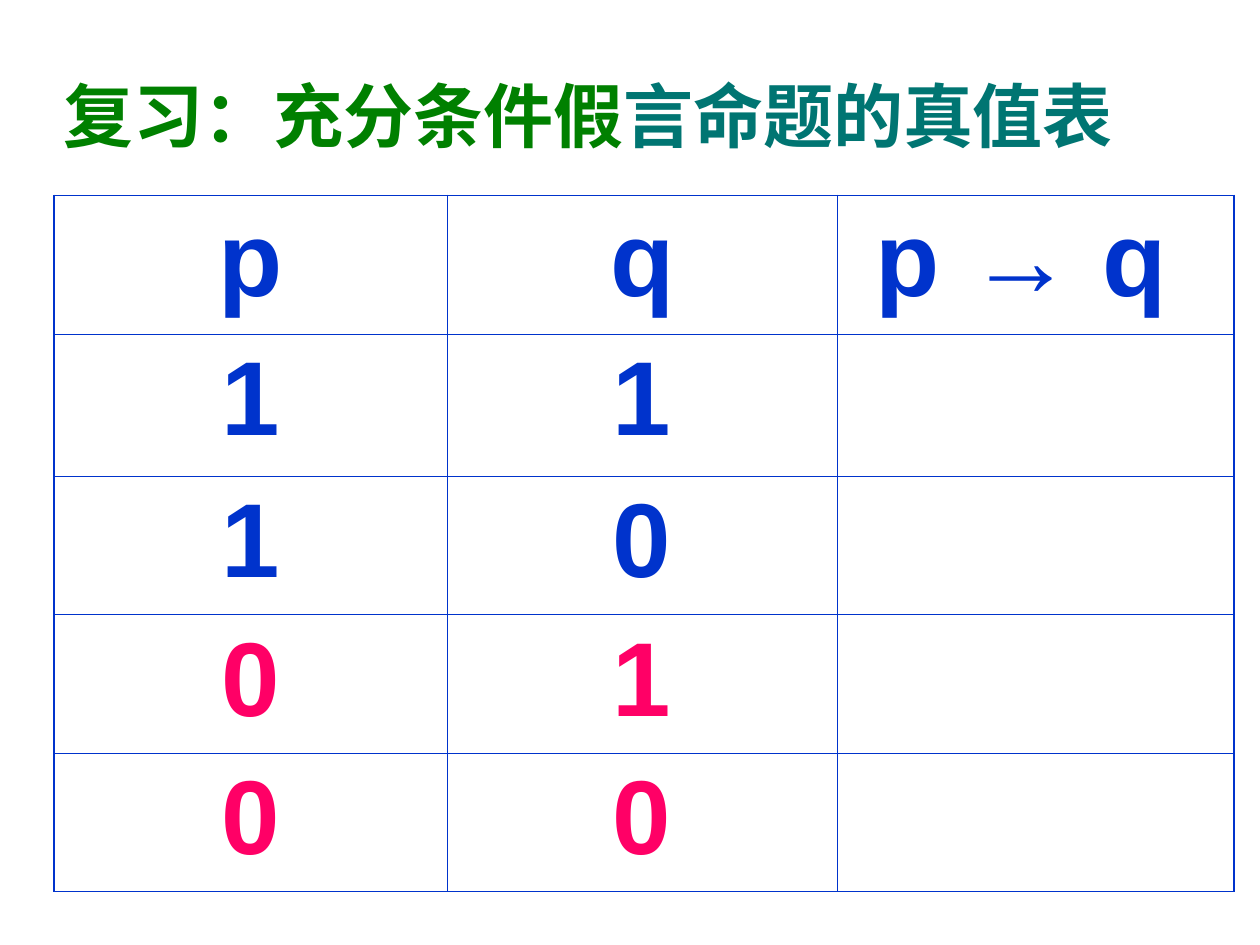
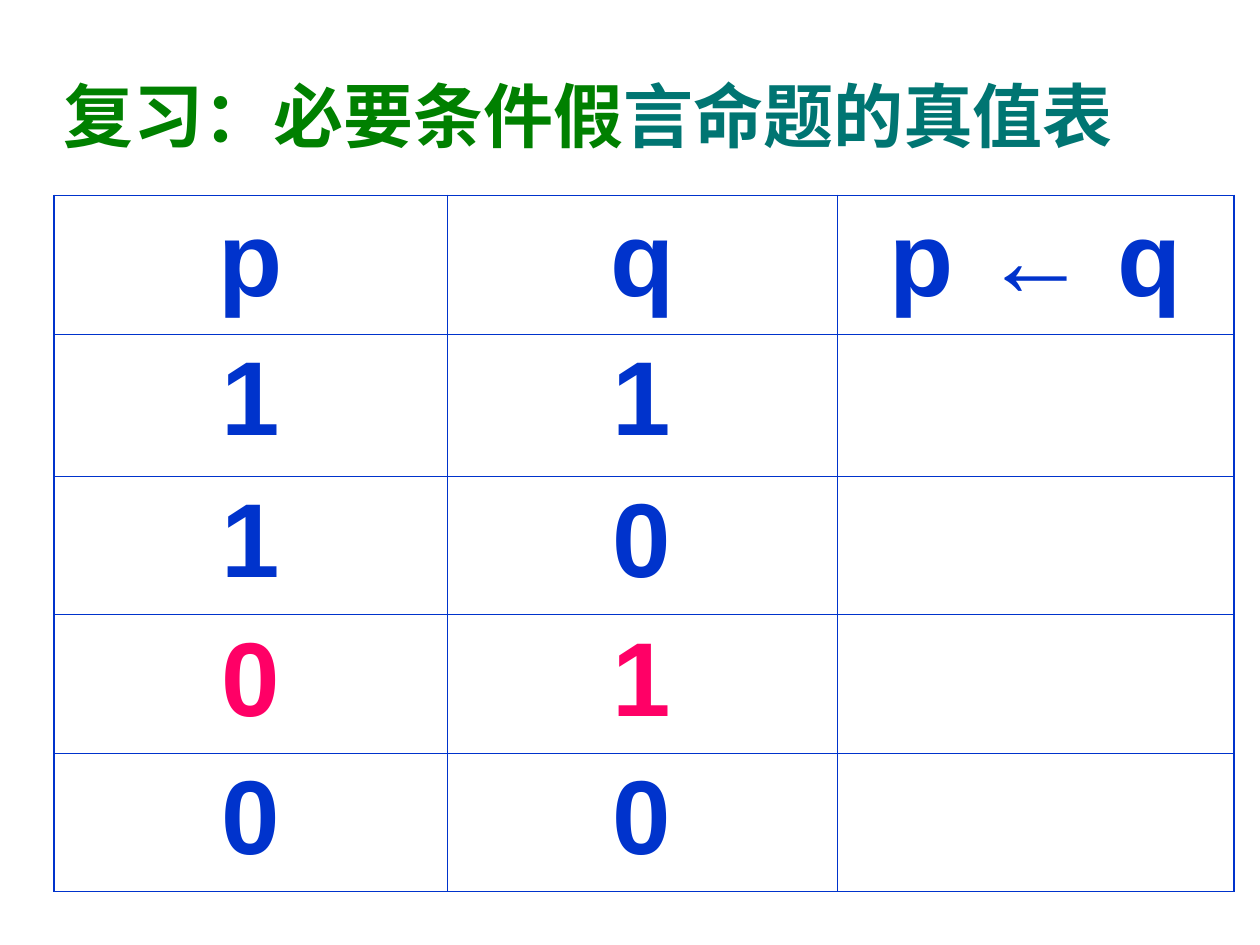
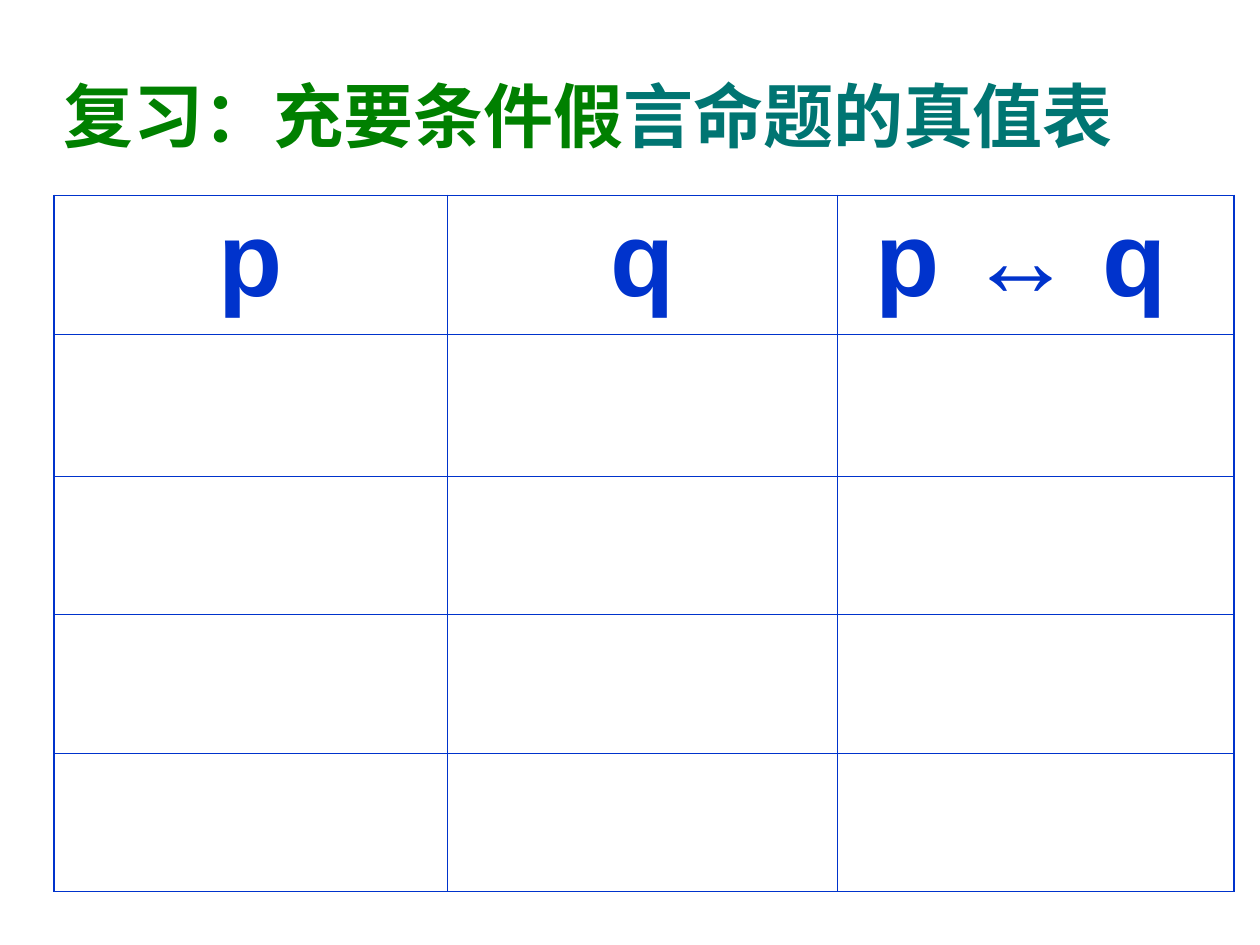
import pptx
import pptx.dml.color
import pptx.enum.text
import pptx.oxml.ns
import pptx.util
from lxml import etree
from pptx.util import Cm, Pt

FONT = "Arial"
GREEN, TEAL, BLUE, PINK = "008000", "007572", "0033CC", "FF0066"
THIN, THICK = Pt(0.45), Pt(1.08)
COL_WIDTHS = [Cm(7.92), Cm(7.87), Cm(8)]
ROW_HEIGHTS = [Cm(2.79), Cm(2.87), Cm(2.79), Cm(2.79), Cm(2.79)]
LAST_ROW, LAST_COL = len(ROW_HEIGHTS) - 1, len(COL_WIDTHS) - 1
CENTER = pptx.enum.text.PP_ALIGN.CENTER


def style(r, size, color):
    """Give a run the bold deck font in one size and colour."""
    r.font.name = FONT
    r.font.size = Pt(size)
    r.font.bold = True
    r.font.color.rgb = pptx.dml.color.RGBColor.from_string(color)


def add_border(cell, side, width):
    """Draw one side (L, R, T or B) of a table cell in blue."""
    qn = pptx.oxml.ns.qn
    ln = etree.SubElement(cell._tc.get_or_add_tcPr(), qn(f"a:ln{side}"), w=str(int(width)))
    fill = etree.SubElement(ln, qn("a:solidFill"))
    etree.SubElement(fill, qn("a:srgbClr"), val=BLUE)


# Condition type, table header, truth values of p and q, rows shown in pink
VALUES = [("1", "1"), ("1", "0"), ("0", "1"), ("0", "0")]
SLIDES = [
    ("充分", "p → q ", VALUES, {3, 4}),
    ("必要", "p ← q", VALUES, {3}),
    ("充要", "p ↔ q ", [], set()),
]

prs = pptx.Presentation()
prs.slide_width, prs.slide_height = Cm(25.4), Cm(19.05)

for condition, formula, values, pink_rows in SLIDES:
    s = prs.slides.add_slide(prs.slide_layouts[5])

    title = s.shapes.title
    title.left, title.top, title.width, title.height = Cm(0), Cm(0.71), Cm(23.72), Cm(3.18)
    tf = title.text_frame
    tf.vertical_anchor = pptx.enum.text.MSO_ANCHOR.MIDDLE
    p = tf.paragraphs[0]
    p.alignment = CENTER
    for text, color in [(f"复习：{condition}条件假", GREEN), ("言命题的真值表", TEAL)]:
        r = p.add_run()
        r.text = text
        style(r, 40, color)

    table = s.shapes.add_table(len(ROW_HEIGHTS), len(COL_WIDTHS), Cm(1.09), Cm(3.94),
                               sum(COL_WIDTHS), sum(ROW_HEIGHTS)).table
    table.first_row = False
    table.horz_banding = False
    for column, width in zip(table.columns, COL_WIDTHS):
        column.width = width
    for row, height in zip(table.rows, ROW_HEIGHTS):
        row.height = height

    for i in range(len(ROW_HEIGHTS)):
        for j in range(len(COL_WIDTHS)):
            cell = table.cell(i, j)
            add_border(cell, "L", THICK if j == 0 else THIN)
            add_border(cell, "R", THICK if j == LAST_COL else THIN)
            add_border(cell, "T", THICK if i == 0 else THIN)
            add_border(cell, "B", THICK if i == LAST_ROW else THIN)
            cell.fill.background()

    for i, texts in enumerate([("p", "q", formula), *values]):
        for j, text in enumerate(texts):
            p = table.cell(i, j).text_frame.paragraphs[0]
            p.text = text
            p.alignment = CENTER
            style(p.runs[0], 60, PINK if i in pink_rows else BLUE)

prs.save("out.pptx")
